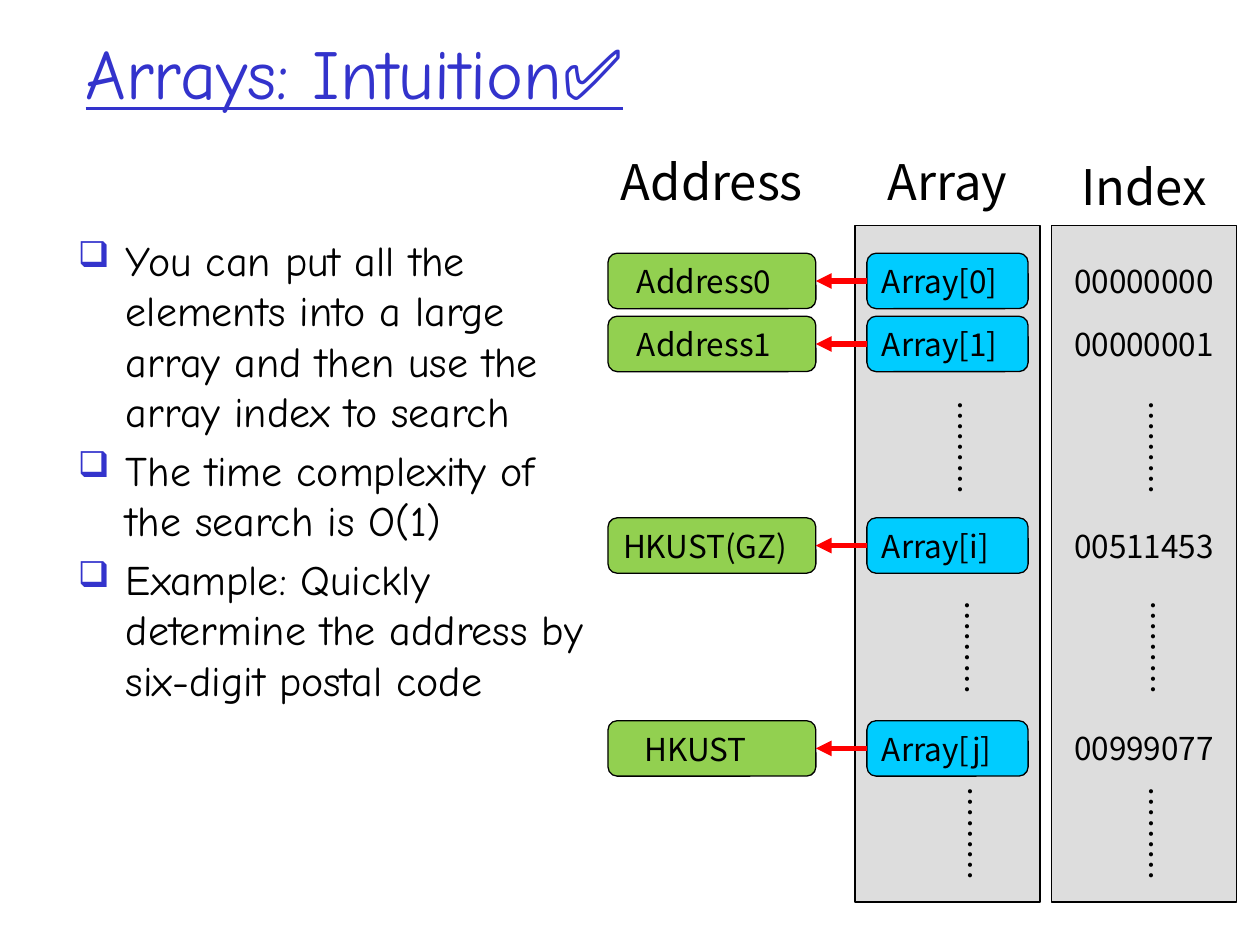
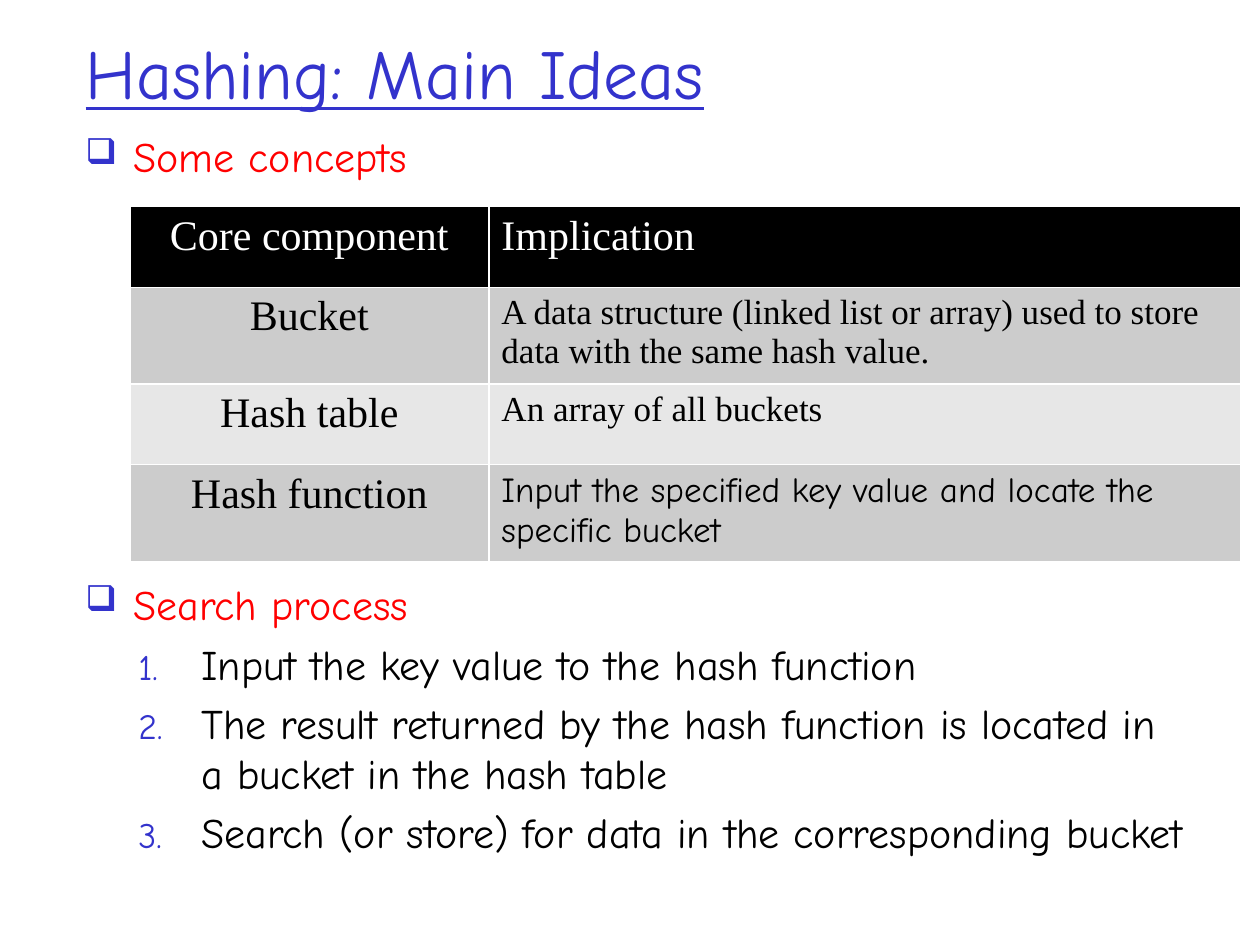
from lxml import etree
from pptx import Presentation
from pptx import util as u
from pptx.dml.color import RGBColor
from pptx.enum import shapes, text
from pptx.oxml.ns import qn

COLORS = {"accent": "3333CC", "ink": "000000", "paper": "FFFFFF", "alert": "FF0000",
          "band": "DDDDDD", "array": "00CCFF", "address": "92D050",
          "odd": "CCCCCC", "even": "E7E7E7"}
HAND, SANS, SERIF = "Comic Neue", "Noto Sans CJK JP", "Times New Roman"
LEFT, CENTER = text.PP_ALIGN.LEFT, text.PP_ALIGN.CENTER

# ---- Content ----
ARRAY_TITLE = "Arrays: Intuition✅"
ARRAY_POINTS = [
    "You can put all the elements into a large array and then use the array index to search",
    "The time complexity of the search is O(1)",
    "Example: Quickly determine the address by six-digit postal code",
]
# column: (centre, heading top)
COLUMNS = {"Address": (5.65, 1.15), "Array": (7.52, 1.15), "Index": (9.08, 1.19)}
# (top, address, address indent, array cell, index)
ENTRIES = [
    (2.01, "Address0", 0.11, "Array[0]", "00000000"),
    (2.51, "Address1", 0.11, "Array[1]", "00000001"),
    (4.11, "HKUST(GZ)", 0, "Array[i]", "00511453"),
    (5.72, "HKUST", 0.17, "Array[j]", "00999077"),
]
ELLIPSIS = "………"
# (middle, centre in the array column, centre in the index column)
GAPS = [(3.55, 7.63, 9.14), (5.14, 7.68, 9.16), (6.62, 7.71, 9.14)]

HASH_TITLE = "Hashing: Main Ideas"
CONCEPTS, PROCESS = "Some concepts", "Search process"
# (component, implication, font of the implication)
COMPONENTS = [
    ("Core component", "Implication", SERIF),
    ("Bucket", "A data structure (linked list or array) used to store data "
               "with the same hash value.", SERIF),
    ("Hash table", "An array of all buckets", SERIF),
    ("Hash function", "Input the specified key value and locate the specific bucket", HAND),
]
STEPS = [
    "Input the key value to the hash function",
    "The result returned by the hash function is located in a bucket in the hash table",
    "Search (or store) for data in the corresponding bucket",
]

# ---- Layout, in inches ----
MARGIN, TEXT_W = 0.58, 8.5
BAND_TOP, BAND_W, BAND_H = 1.79, 1.47, 5.37
CELL_H, ARRAY_W, ADDRESS_W = 0.44, 1.28, 1.65
LABEL_W, LABEL_H, HEADING_H = 2.26, 0.4, 0.57


# ---- Helpers ----
def rgb(name):
    return RGBColor.from_string(COLORS[name])


def inches(*lengths):
    return [u.Inches(length) for length in lengths]


def write(paragraph, words, size, font, color="ink", align=LEFT):
    paragraph.alignment = align
    run = paragraph.add_run()
    run.text = words
    run.font.size, run.font.name = u.Pt(size), font
    run.font.color.rgb = rgb(color)
    return run


def add_titled_slide(deck, title):
    slide = deck.slides.add_slide(deck.slide_layouts[5])
    holder = slide.shapes.title
    holder.left, holder.top, holder.width, holder.height = inches(MARGIN, 0.34, TEXT_W, 0.46)
    frame = holder.text_frame
    frame.auto_size = text.MSO_AUTO_SIZE.NONE
    frame.vertical_anchor = text.MSO_ANCHOR.MIDDLE
    write(frame.paragraphs[0], title, 40, HAND, "accent").font.underline = True
    return slide


def add_list(slide, box, items, color="ink", numbered=False):
    frame = slide.shapes.add_textbox(*inches(*box)).text_frame
    frame.word_wrap = True
    indent = u.Inches(0.5 if numbered else 0.38)
    for i, item in enumerate(items):
        paragraph = frame.add_paragraph() if i else frame.paragraphs[0]
        props = paragraph._p.get_or_add_pPr()
        props.set("marL", str(indent))
        props.set("indent", str(-indent))
        bullet_color = etree.SubElement(props, qn("a:buClr"))
        etree.SubElement(bullet_color, qn("a:srgbClr"), val=COLORS["accent"])
        etree.SubElement(props, qn("a:buSzPct"), val="85000")
        if numbered:
            etree.SubElement(props, qn("a:buAutoNum"), type="arabicPeriod")
        else:
            etree.SubElement(props, qn("a:buChar"), char="❑")
        paragraph.space_before = u.Pt(4.8 if i else 0)
        write(paragraph, item, 24, HAND, color)


def add_label(slide, center, top, words, size=18, height=LABEL_H, rotation=0):
    label = slide.shapes.add_textbox(*inches(center - LABEL_W / 2, top, LABEL_W, height))
    label.rotation = rotation
    label.text_frame.word_wrap = True
    label.text_frame.auto_size = text.MSO_AUTO_SIZE.SHAPE_TO_FIT_TEXT
    write(label.text_frame.paragraphs[0], words, size, SANS, align=CENTER)


def add_block(slide, kind, center, top, width, height, fill):
    block = slide.shapes.add_shape(kind, *inches(center - width / 2, top, width, height))
    block.shadow.inherit = False
    block.fill.solid()
    block.fill.fore_color.rgb = rgb(fill)
    block.line.color.rgb = rgb("ink")
    block.line.width = u.Pt(0.75)
    return block


def add_cell(slide, column, top, width, fill, words, indent=0):
    cell = add_block(slide, shapes.MSO_SHAPE.ROUNDED_RECTANGLE, COLUMNS[column][0],
                     top, width, CELL_H, fill)
    cell.text_frame.vertical_anchor = text.MSO_ANCHOR.MIDDLE
    paragraph = cell.text_frame.paragraphs[0]
    paragraph._p.get_or_add_pPr().set("marL", str(u.Inches(indent)))
    write(paragraph, words, 18, SANS)
    return cell


def add_arrow(slide, source, target):
    arrow = slide.shapes.add_connector(shapes.MSO_CONNECTOR.STRAIGHT, 0, 0, 0, 0)
    arrow.begin_connect(source, 1)
    arrow.end_connect(target, 3)
    arrow.line.color.rgb = rgb("alert")
    arrow.line.width = u.Pt(3)
    etree.SubElement(arrow.line._get_or_add_ln(), qn("a:tailEnd"), type="triangle")
    etree.SubElement(arrow._element.spPr, qn("a:effectLst"))


def style_cell(cell, fill):
    props = cell._tc.get_or_add_tcPr()
    for side in ("lnL", "lnR", "lnT", "lnB"):
        border = etree.SubElement(props, qn("a:" + side), w=str(u.Pt(1)))
        paint = etree.SubElement(border, qn("a:solidFill"))
        etree.SubElement(paint, qn("a:srgbClr"), val=COLORS["paper"])
    cell.fill.solid()
    cell.fill.fore_color.rgb = rgb(fill)


# ---- Slides ----
def build_arrays(deck):
    slide = add_titled_slide(deck, ARRAY_TITLE)
    add_list(slide, (0.52, 1.81, 4.28, 5.01), ARRAY_POINTS)

    # Column bands and headings
    for heading, (center, top) in COLUMNS.items():
        if heading != "Address":
            add_block(slide, shapes.MSO_SHAPE.RECTANGLE, center, BAND_TOP,
                      BAND_W, BAND_H, "band")
        add_label(slide, center, top, heading, 28, HEADING_H)

    # Entries: each array cell points to its address
    for top, address, indent, element, index in ENTRIES:
        array_cell = add_cell(slide, "Array", top, ARRAY_W, "array", element)
        address_cell = add_cell(slide, "Address", top, ADDRESS_W, "address", address, indent)
        add_arrow(slide, array_cell, address_cell)
        add_label(slide, COLUMNS["Index"][0], top + 0.02, index)

    # Vertical dots between entries
    for middle, *centers in GAPS:
        for center in centers:
            add_label(slide, center, middle - LABEL_H / 2, ELLIPSIS, rotation=90)


def build_hashing(deck):
    slide = add_titled_slide(deck, HASH_TITLE)
    for top, heading in ((0.99, CONCEPTS), (4.54, PROCESS)):
        add_list(slide, (MARGIN, top, TEXT_W, 0.57), [heading], "alert")
    add_list(slide, (1, 5.02, TEXT_W, 1.96), STEPS, numbered=True)

    # Table of components
    row_h, widths = 0.64, (2.85, 5.97)
    components = slide.shapes.add_table(
        len(COMPONENTS), len(widths),
        *inches(1.03, 1.64, sum(widths), row_h * len(COMPONENTS))).table
    for column, width in zip(components.columns, widths):
        column.width = u.Inches(width)
    for r, (component, implication, font) in enumerate(COMPONENTS):
        components.rows[r].height = u.Inches(row_h)
        fill = ("odd" if r % 2 else "even") if r else "ink"
        color = "ink" if r else "paper"
        name_cell, meaning_cell = components.cell(r, 0), components.cell(r, 1)
        for cell in (name_cell, meaning_cell):
            style_cell(cell, fill)
        for cell, words, size, face, align in (
                (name_cell, component, 24, SERIF, CENTER),
                (meaning_cell, implication, 20 if r else 24, font, LEFT)):
            run = write(cell.text_frame.paragraphs[0], words, size, face, color, align)
            run.font.bold = False


def main():
    deck = Presentation()
    deck.slide_width, deck.slide_height = inches(10, 7.5)
    build_arrays(deck)
    build_hashing(deck)
    deck.save("out.pptx")


if __name__ == "__main__":
    main()
